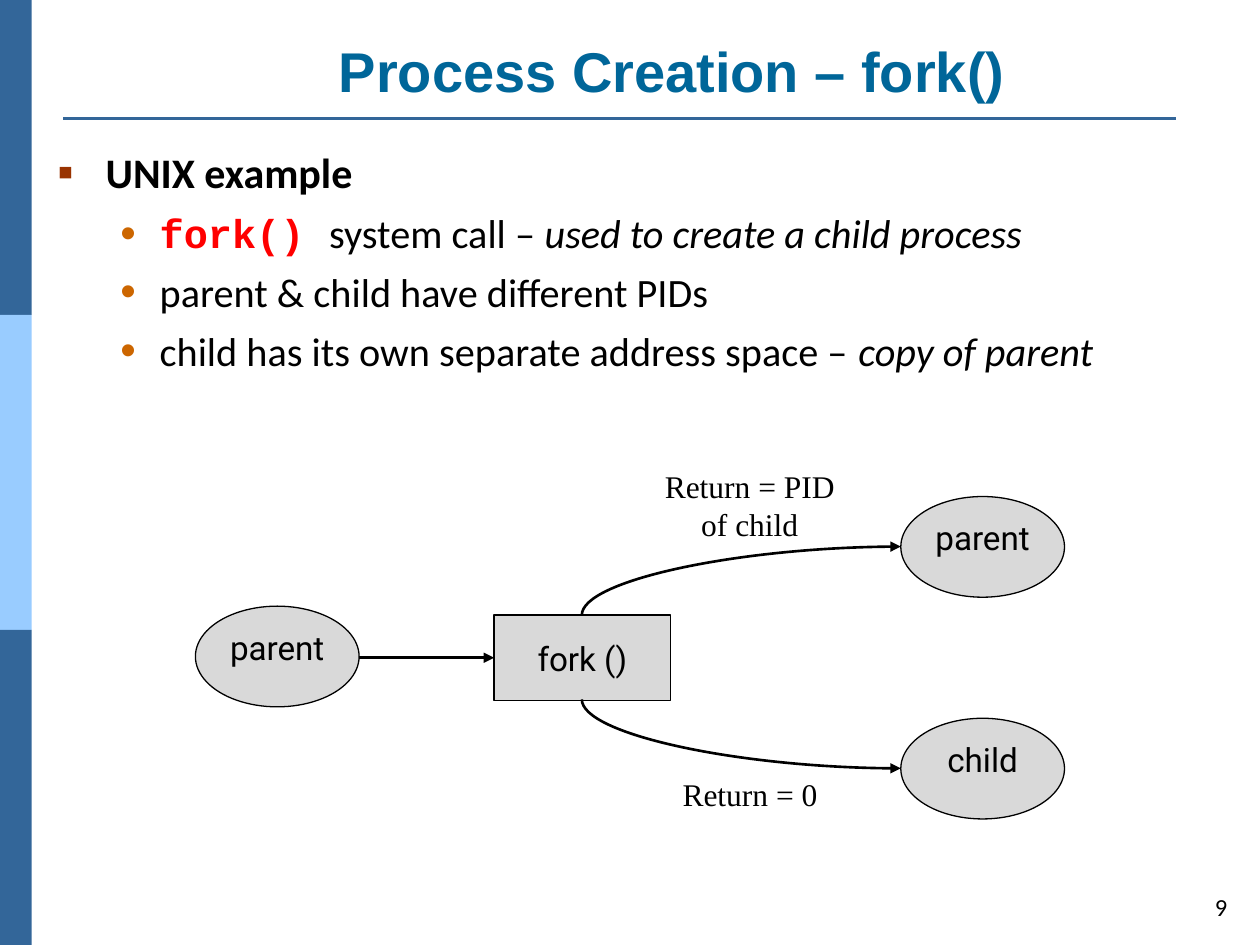
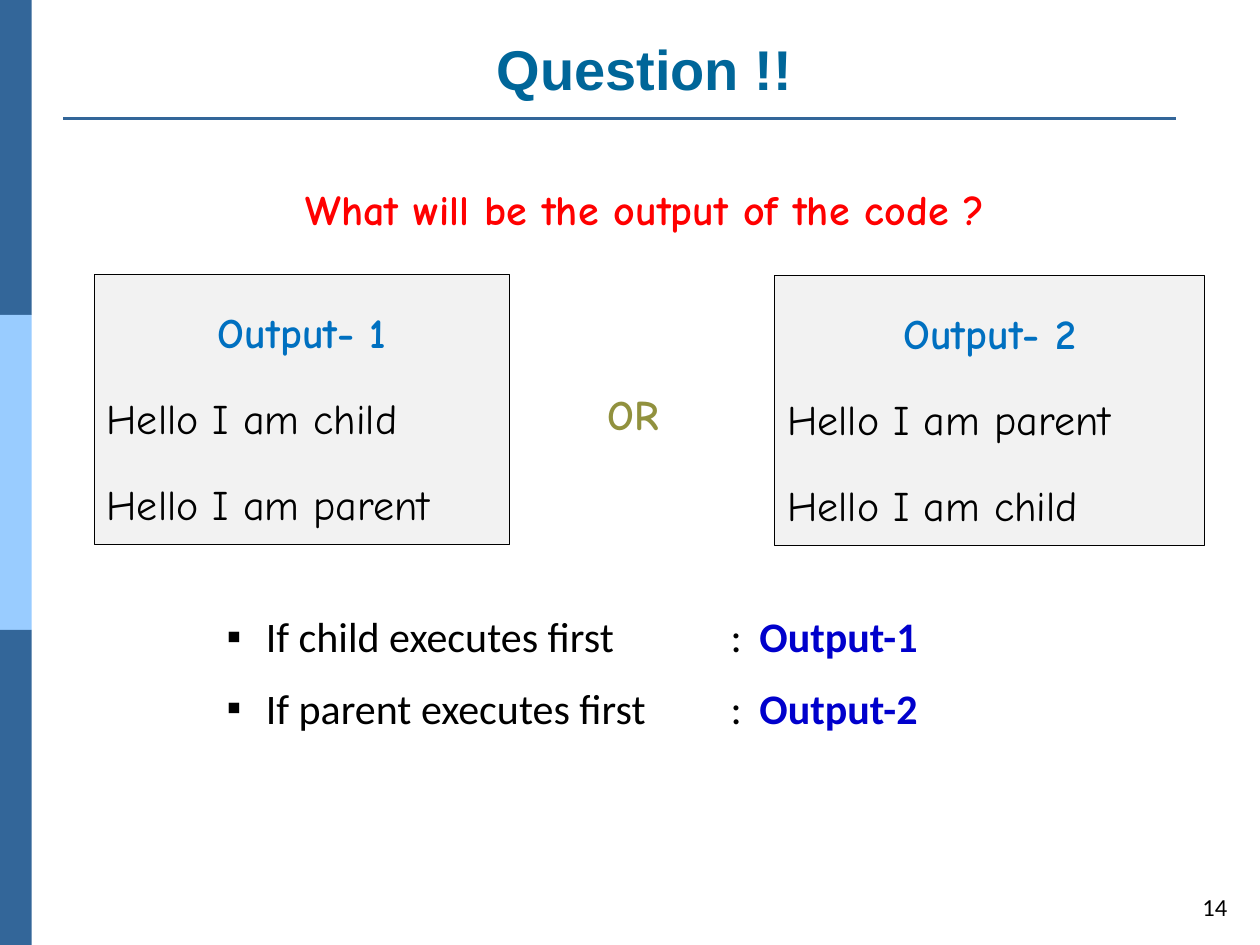
from lxml.etree import SubElement
from pptx import Presentation
from pptx.dml.color import RGBColor
from pptx.enum.shapes import MSO_CONNECTOR, MSO_SHAPE
from pptx.enum.text import MSO_ANCHOR, PP_ALIGN
from pptx.oxml.ns import qn
from pptx.util import Cm, Pt

BLACK = RGBColor(0, 0, 0)
NAVY = RGBColor(0x33, 0x66, 0x99)
SKY = RGBColor(0x99, 0xCC, 0xFF)
TEAL = RGBColor(0, 0x66, 0x99)
RED = RGBColor(0xFF, 0, 0)
BLUE = RGBColor(0, 0x70, 0xC0)
DEEP = RGBColor(0, 0, 0xCC)
OLIVE = RGBColor(0x91, 0x91, 0x3E)
GREY = RGBColor(0xD9, 0xD9, 0xD9)
PALE = RGBColor(0xF2, 0xF2, 0xF2)
RUST = RGBColor(0x99, 0x33, 0)
AMBER = RGBColor(0xCC, 0x66, 0)

CENTER = {"alignment": PP_ALIGN.CENTER}
HEAD = {"name": "Arial", "size": 32, "bold": True, "color": TEAL}
BODY = {"name": "Calibri", "size": 23, "color": BLACK}
LEAD = {**BODY, "size": 24}
CODE = {**BODY, "name": "Courier New", "bold": True, "color": RED}
NODE = {"name": "Roboto", "size": 19, "color": BLACK}
NOTE = {"name": "Times New Roman", "size": 18, "color": BLACK}
COMIC = {"name": "Comic Neue", "size": 24, "color": BLACK}


def cms(*nums):
    return [Cm(n) for n in nums]


def assign(item, vals):
    for key, val in vals.items():
        setattr(item, key, val)


def style(font, look):
    for key, val in look.items():
        if key == "color":
            font.color.rgb = val
        else:
            setattr(font, key, Pt(val) if key == "size" else val)


def bullet(para, mark, color, pct, left, hang):
    props = para._p.get_or_add_pPr()
    props.set("marL", str(Cm(left)))
    props.set("indent", str(-Cm(hang)))
    tint = SubElement(props, qn("a:buClr"))
    SubElement(tint, qn("a:srgbClr"), val=str(color))
    SubElement(props, qn("a:buSzPct"), val=str(pct * 1000))
    SubElement(props, qn("a:buFont"), typeface="Arial")
    SubElement(props, qn("a:buChar"), char=mark)


def tabs(para, *stops):
    group = SubElement(para._p.get_or_add_pPr(), qn("a:tabLst"))
    for stop in stops:
        SubElement(group, qn("a:tab"), pos=str(Cm(stop)), algn="l")


class Deck:
    def __init__(self):
        self.prs = Presentation()
        assign(self.prs, {"slide_width": Cm(25.4), "slide_height": Cm(19.05)})
        self.slide = None

    def page(self, title, box, num):
        """Start a slide with the side bands, rule, title and page number."""
        self.slide = self.prs.slides.add_slide(self.prs.slide_layouts[5])
        for row, color in enumerate((NAVY, SKY, NAVY)):
            self.shape(MSO_SHAPE.RECTANGLE, (0, row * 6.35, 0.64, 6.35), color, edge=False)
        self.line((1.27, 2.39), (23.7, 2.39), NAVY)
        head = self.slide.shapes.title
        assign(head, dict(zip(("left", "top", "width", "height"), cms(*box))))
        self.put(head, [([(title, HEAD)], CENTER)], MSO_ANCHOR.BOTTOM)
        self.text((23.85, 17.75, 1.14, 1.04),
                  [([(num, {**BODY, "size": 14})], {"alignment": PP_ALIGN.RIGHT})],
                  MSO_ANCHOR.MIDDLE)

    def put(self, shape, paras, anchor=MSO_ANCHOR.TOP, wrap=True):
        """Fill a shape with (runs, format, bullet, tabs) paragraphs."""
        frame = shape.text_frame
        assign(frame, {"word_wrap": wrap, "vertical_anchor": anchor})
        for num, (runs, form, *extra) in enumerate(paras):
            para = frame.add_paragraph() if num else frame.paragraphs[0]
            if extra:
                bullet(para, *extra[0])
            if len(extra) > 1:
                tabs(para, *extra[1])
            assign(para, form)
            for words, look in runs:
                run = para.add_run()
                run.text = words
                style(run.font, look)

    def text(self, box, paras, anchor=MSO_ANCHOR.TOP):
        self.put(self.slide.shapes.add_textbox(*cms(*box)), paras, anchor)

    def shape(self, kind, box, fill, edge=True):
        shape = self.slide.shapes.add_shape(kind, *cms(*box))
        shape.shadow.inherit = False
        shape.fill.solid()
        shape.fill.fore_color.rgb = fill
        if edge:
            shape.line.color.rgb = BLACK
            shape.line.width = Pt(0.75)
        else:
            shape.line.fill.background()
        return shape

    def node(self, kind, box, word, anchor=MSO_ANCHOR.TOP):
        shape = self.shape(kind, box, GREY)
        self.put(shape, [([(word, NODE)], CENTER)], anchor, wrap=False)

    def line(self, start, end, color=BLACK, arrow=False, kind=MSO_CONNECTOR.STRAIGHT):
        link = self.slide.shapes.add_connector(kind, *cms(*start, *end))
        link.line.color.rgb = color
        link.line.width = Pt(1.5)
        props = link._element.spPr
        if arrow:
            SubElement(props.find(qn("a:ln")), qn("a:tailEnd"), type="triangle")
        SubElement(props, qn("a:effectLst"))
        return props

    def curve(self, start, end):
        """Draw an arrow that leaves vertically and arrives from the left."""
        (left, top), (right, low) = start, end
        wide, high = abs(low - top), right - left
        x, y = (left + right - wide) / 2, (top + low - high) / 2
        props = self.line((x, y), (x + wide, y + high), arrow=True, kind=MSO_CONNECTOR.CURVE)
        props.find(qn("a:prstGeom")).set("prst", "curvedConnector2")
        rises = low < top
        frame = props.find(qn("a:xfrm"))
        frame.set("rot", str((90 if rises else 270) * 60000))
        frame.set("flipH", "1")
        frame.set("flipV", "1" if rises else "0")

    def output(self, box, title, lines):
        rows = [(title, {**COMIC, "bold": True, "color": BLUE}, CENTER)]
        rows += [(line, COMIC, {"alignment": PP_ALIGN.LEFT}) for line in lines]
        self.put(self.shape(MSO_SHAPE.RECTANGLE, box, PALE),
                 [([(words, look)],
                   {**form, "line_spacing": 1.5, "space_before": Pt(6 if num else 0)})
                  for num, (words, look, form) in enumerate(rows)])

    def remark(self, box, words, color):
        self.text(box, [([(words, {**COMIC, "bold": True, "color": color})],
                         {**CENTER, "line_spacing": 1.6})])


def fork_page(deck):
    deck.page("Process Creation – fork()", (2.97, 0.61, 21.16, 1.6), "9")
    dot = ("•", AMBER, 110, 2.06, 0.79)
    slant = {**BODY, "italic": True}
    points = [
        [("fork() ", CODE), ("system call – ", BODY), ("used to create a child process", slant)],
        [("parent & child have different PIDs", BODY)],
        [("child has its own separate address space – ", BODY), ("copy of parent", slant)],
    ]
    first = ([("UNIX example", {**LEAD, "bold": True})], {}, ("▪", RUST, 110, 0.97, 0.97))
    deck.text((0.91, 2.82, 23.88, 5.46),
              [first] + [(runs, {"level": 1, "space_before": Pt(6 if num else 7)}, dot)
                         for num, runs in enumerate(points)])

    for left, top, word in ((18.16, 10.01, "parent"), (18.16, 14.48, "child"),
                            (3.94, 12.22, "parent")):
        deck.node(MSO_SHAPE.OVAL, (left, top, 3.3, 2.03), word)
    deck.node(MSO_SHAPE.RECTANGLE, (9.96, 12.4, 3.56, 1.72), "fork ()", MSO_ANCHOR.MIDDLE)
    deck.line((7.24, 13.26), (9.96, 13.26), arrow=True)
    deck.curve((11.73, 12.4), (18.16, 11.02))
    deck.curve((11.73, 14.1), (18.16, 15.49))
    for box, words in (((13.11, 9.3, 4.01, 1.8), "Return = PID of child"),
                       ((12.95, 15.49, 4.34, 1.02), "Return = 0")):
        deck.text(box, [([(words, NOTE)], CENTER)])


def question_page(deck):
    deck.page("Question !!", (4.32, 0.2, 17.35, 1.98), "14")
    child, parent = "Hello I am child", "Hello I am parent"
    deck.output((1.9, 5.54, 8.38, 5.44), "Output- 1", (child, parent))
    deck.output((15.62, 5.56, 8.66, 5.44), "Output- 2", (parent, child))
    deck.remark((0.94, 2.97, 24.13, 1.98), "What will be the output of the code ?", RED)
    deck.remark((10.54, 7.09, 4.45, 2.34), "OR", OLIVE)
    strong = {**LEAD, "bold": True, "color": DEEP}
    deck.text((4.32, 12.19, 19.25, 2.74),
              [([(f"If {who} executes first\t:\t", LEAD), (f"Output-{num + 1}", strong)],
                {"space_before": Pt(12 * num)},
                ("▪", BLACK, 100, 0.79, 0.79), (10.16, 10.74))
               for num, who in enumerate(("child", "parent"))])


def main():
    deck = Deck()
    fork_page(deck)
    question_page(deck)
    deck.prs.save("out.pptx")


if __name__ == "__main__":
    main()
